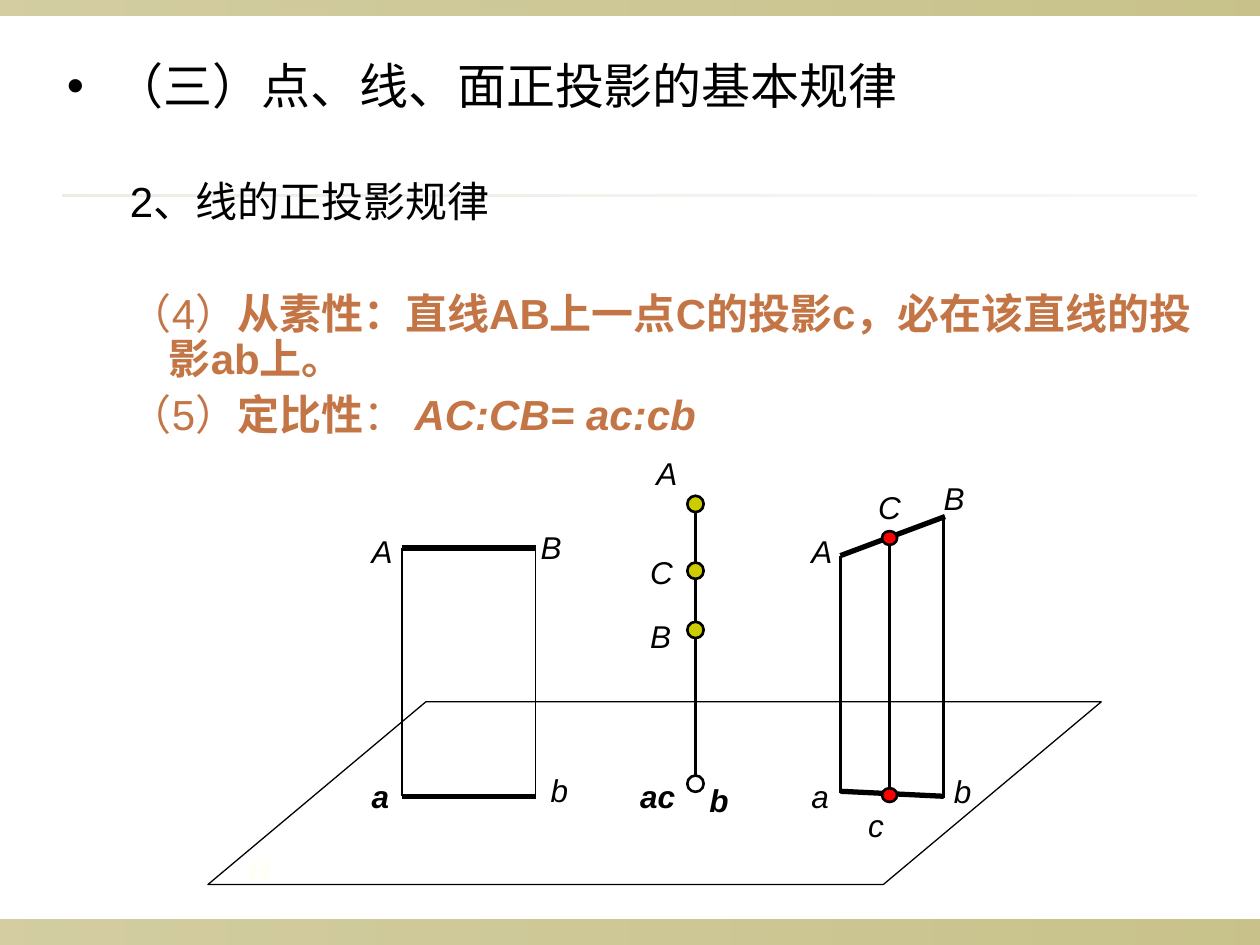
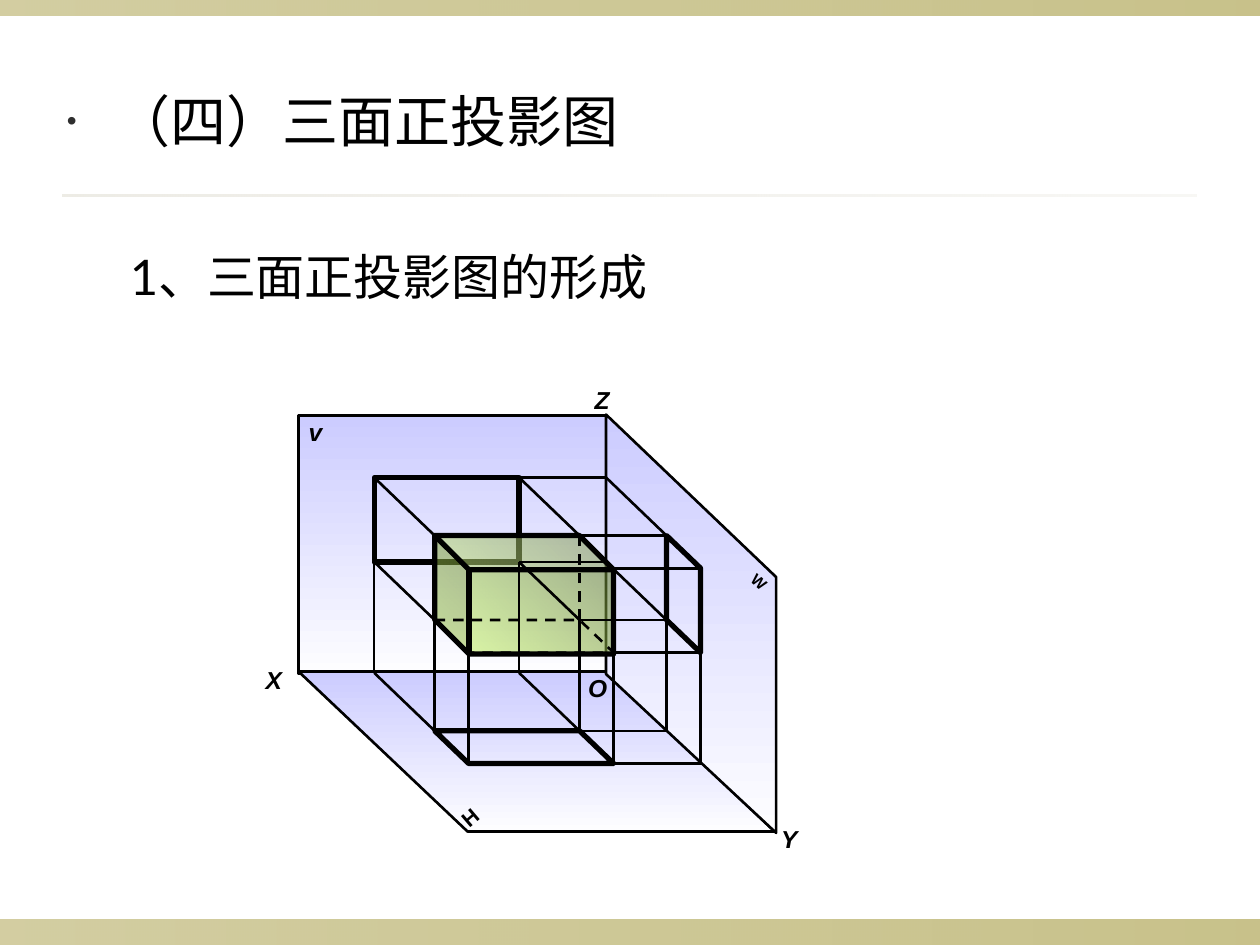
from itertools import product

from lxml import etree
from pptx import Presentation
from pptx.dml.color import RGBColor
from pptx.enum.dml import MSO_LINE
from pptx.enum.shapes import MSO_CONNECTOR, MSO_SHAPE
from pptx.enum.text import MSO_ANCHOR, MSO_AUTO_SIZE
from pptx.oxml.ns import qn
from pptx.util import Inches, Pt

STRAIGHT = MSO_CONNECTOR.STRAIGHT
RECTANGLE = MSO_SHAPE.RECTANGLE
PARALLELOGRAM = MSO_SHAPE.PARALLELOGRAM
OVAL = MSO_SHAPE.OVAL
CUBE = MSO_SHAPE.CUBE
DASH = MSO_LINE.DASH
MIDDLE = MSO_ANCHOR.MIDDLE
NO_AUTOFIT = MSO_AUTO_SIZE.NONE

BLACK = RGBColor(0x00, 0x00, 0x00)
WHITE = RGBColor(0xFF, 0xFF, 0xFF)
IVORY = RGBColor(0xFF, 0xFF, 0xF4)
CHARCOAL = RGBColor(0x2F, 0x2F, 0x2F)
OLIVE = RGBColor(0x91, 0x84, 0x15)
STONE = RGBColor(0xDC, 0xD9, 0xCC)
COPPER = RGBColor(0xC4, 0x75, 0x46)
RED = RGBColor(0xFF, 0x00, 0x00)
MUSTARD = RGBColor(0xCC, 0xCC, 0x00)
LILAC = RGBColor(0xCC, 0xCC, 0xFF)
PALE_LILAC = RGBColor(0xFD, 0xFD, 0xFF)
MOSS = RGBColor(0x5E, 0x76, 0x2F)
LIME = RGBColor(0xCC, 0xFF, 0x66)

THIN, NORMAL, THICK = 0.75, 1.5, 3
PLANE_FILL = (LILAC, PALE_LILAC, 90)

# Box in the three-plane drawing: extents on V, ground line, Z axis, depths
LEFT, RIGHT, AXIS = 2.97, 4.12, 4.81
TOP, BOTTOM, GROUND = 3.79, 4.46, 5.34
BACK, FRONT = 0.48, 0.75
DEPTH_SLOPE = 0.96


def add_xml(parent, tag, **attributes):
    return etree.SubElement(parent, qn(tag), attributes)


def fill_gradient(shape, start, end, angle, alphas=(100, 100)):
    shape.fill.gradient()
    shape.fill.gradient_angle = (360 - angle) % 360
    for stop, color in zip(shape.fill.gradient_stops, (start, end)):
        stop.color.rgb = color
    colors = shape.element.spPr.iter(qn("a:srgbClr"))
    for color, alpha in zip(list(colors), alphas):
        if alpha < 100:
            add_xml(color, "a:alpha", val=str(alpha * 1000))


def style(shape, fill=None, weight=NORMAL, dash=None):
    """Fill with a colour, a gradient tuple or nothing; outline in black."""
    shape.shadow.inherit = False
    if fill is None:
        shape.fill.background()
    elif isinstance(fill, RGBColor):
        shape.fill.solid()
        shape.fill.fore_color.rgb = fill
    else:
        fill_gradient(shape, *fill)
    if weight:
        shape.line.color.rgb = BLACK
        shape.line.width = Pt(weight)
    else:
        shape.line.fill.background()
    if dash:
        shape.line.dash_style = dash


def add_preset(slide, kind, box, fill=None, weight=NORMAL, adjust=None, flip=False):
    shape = slide.shapes.add_shape(kind, *map(Inches, box))
    if adjust is not None:
        shape.adjustments[0] = adjust
    if flip:
        shape.element.spPr.find(qn("a:xfrm")).set("flipH", "1")
    style(shape, fill, weight)


def add_polygon(slide, corners, fill=None, weight=NORMAL, dash=None):
    start, *rest = [(Inches(x), Inches(y)) for x, y in corners]
    builder = slide.shapes.build_freeform(*start)
    builder.add_line_segments(rest, close=True)
    style(builder.convert_to_shape(), fill, weight, dash)


def add_line(slide, start, end, weight=NORMAL, dash=None):
    line = slide.shapes.add_connector(STRAIGHT, *map(Inches, (*start, *end)))
    line.line.color.rgb = BLACK
    line.line.width = Pt(weight)
    if dash:
        line.line.dash_style = dash
    add_xml(line.element.spPr, "a:effectLst")


def add_dot(slide, center, fill, width=0.13, height=0.13):
    x, y = center
    add_preset(slide, OVAL, (x - width / 2, y - height / 2, width, height), fill)


def add_label(slide, text, box, size, bold=False, italic=True, color=BLACK,
              tight=False, rotation=0):
    label = slide.shapes.add_textbox(*map(Inches, box))
    label.rotation = rotation
    frame = label.text_frame
    frame.word_wrap = True
    if tight:
        frame.margin_left = frame.margin_right = frame.margin_top = 0
        frame.vertical_anchor = MIDDLE
    paragraph = frame.paragraphs[0]
    paragraph.text = text
    font = paragraph.font
    font.name, font.size = "Arial", Pt(size)
    font.bold, font.italic, font.color.rgb = bold, italic, color


def add_bands(slide):
    for box, color, alphas in (((0, 7.3, 10, 0.2), OLIVE, (40, 50)),
                               ((0, 0, 10, 0.12), OLIVE, (40, 50)),
                               ((0.5, 1.54, 9, 0.02), STONE, (50, 20))):
        add_preset(slide, RECTANGLE, box, (color, color, 0, alphas), weight=0)


def start_slide(presentation):
    """Add a slide with the shared bands and return it with its body."""
    slide = presentation.slides.add_slide(presentation.slide_layouts[1])
    title = slide.shapes.title.element
    title.getparent().remove(title)
    add_bands(slide)
    body = slide.placeholders[1]
    body.element.getparent().append(body.element)
    return slide, body


def place_body(body, box):
    body.left, body.top, body.width, body.height = map(Inches, box)
    body.text_frame.auto_size = NO_AUTOFIT


def add_paragraph(body, runs, size, font_name, level=1, before=0, spacing=1.0,
                  color=BLACK, bullet_color=None, bullet_percent=100):
    """Add a paragraph of (text, bold, italic) runs."""
    frame = body.text_frame
    paragraph = frame.paragraphs[0]
    if paragraph.runs:
        paragraph = frame.add_paragraph()
    paragraph.level = level
    margin, indent = ((0.38, -0.38), (0.81, -0.31))[level]
    properties = paragraph._p.get_or_add_pPr()
    properties.set("marL", str(Inches(margin)))
    properties.set("indent", str(Inches(indent)))
    if bullet_color is None:
        add_xml(properties, "a:buNone")
    else:
        add_xml(add_xml(properties, "a:buClr"), "a:srgbClr", val=str(bullet_color))
        add_xml(properties, "a:buSzPct", val=str(bullet_percent * 1000))
        add_xml(properties, "a:buChar", char="•")
    paragraph.space_before = Pt(before)
    paragraph.line_spacing = spacing
    font = paragraph.font
    font.name, font.size, font.color.rgb = font_name, Pt(size), color
    for text, bold, italic in runs:
        run = paragraph.add_run()
        run.text = text
        run.font.bold, run.font.italic = bold, italic


def plain(text):
    return [(text, False, False)]


def build_line_rules(presentation):
    slide, body = start_slide(presentation)

    # Projection plane H
    add_preset(slide, PARALLELOGRAM, (1.65, 5.57, 7.09, 1.45), WHITE, THIN, 1.193)
    add_label(slide, "H", (1.87, 6.7, 0.38, 0.4), 18, bold=True, color=IVORY)

    # Heading and rules
    place_body(body, (0.43, 0.44, 9.21, 3.35))
    add_paragraph(body, plain("（三）点、线、面正投影的基本规律"), 28, "Arial", level=0,
                  spacing=0.9, bullet_color=BLACK)
    add_paragraph(body, plain("2、线的正投影规律"), 24, "Arial", before=38, spacing=0.9)
    belonging = [("（4）", False, False),
                 ("从素性：直线AB上一点C的投影c，必在该直线的投影ab上。", True, False)]
    ratio = [("（5）", False, False), ("定比性", True, False),
             ("： ", False, False), ("AC:CB= ac:cb", True, True)]
    for runs, before in ((belonging, 38), (ratio, 6)):
        add_paragraph(body, runs, 24, "Arial", before=before, spacing=0.9, color=COPPER)

    # Line parallel to the plane
    for y in (4.35, 6.32):
        add_line(slide, (3.19, y), (4.25, y), THICK)
    for x in (3.19, 4.25):
        add_line(slide, (x, 4.35), (x, 6.32), THIN)

    # Line perpendicular to the plane
    add_line(slide, (5.52, 4), (5.52, 6.24))
    add_dot(slide, (5.52, 6.22), WHITE)
    for y in (4.0, 4.53, 5.0):
        add_dot(slide, (5.52, y), MUSTARD)

    # Inclined line
    add_line(slide, (6.67, 4.41), (7.5, 4.1), THICK)
    add_line(slide, (6.67, 6.28), (7.49, 6.32), THICK)
    for x, top, bottom in ((6.67, 4.41, 6.29), (7.49, 4.11, 6.33), (7.06, 4.27, 6.29)):
        add_line(slide, (x, top), (x, bottom))
    for y in (4.27, 6.31):
        add_dot(slide, (7.06, y), RED, 0.12, 0.11)

    # Point names
    point_names = (
        ("A", 2.95, 4.22), ("B", 4.29, 4.19), ("b", 4.37, 6.12),
        ("A", 5.21, 3.6), ("C", 5.16, 4.39), ("B", 5.16, 4.9),
        ("A", 6.44, 4.22), ("C", 6.97, 3.87), ("B", 7.49, 3.8),
        ("a", 6.44, 6.17), ("c", 6.89, 6.4), ("b", 7.57, 6.13))
    bold_names = (("a", 2.95, 6.17), ("ac", 5.08, 6.17), ("b", 5.63, 6.2))
    for names, bold in ((point_names, False), (bold_names, True)):
        for name, x, y in names:
            add_label(slide, name, (x, y, 0.15 * len(name) + 0.02, 0.35), 18,
                      bold=bold, tight=True)


def point(x, y, depth=0):
    """Shift a point of plane V towards the viewer."""
    return x + depth, y + depth * DEPTH_SLOPE


def build_three_planes(presentation):
    slide, body = start_slide(presentation)

    # Headings
    place_body(body, (0.43, 0.64, 9, 1.97))
    add_paragraph(body, plain("（四）三面正投影图"), 32, "Lato", level=0,
                  bullet_color=CHARCOAL, bullet_percent=50)
    add_paragraph(body, plain("1、三面正投影图的形成"), 28, "Lato", before=53)

    # Planes V, H and W
    add_preset(slide, RECTANGLE, (2.37, 3.3, 2.44, 2.05), PLANE_FILL)
    add_preset(slide, PARALLELOGRAM, (2.37, 5.33, 3.78, 1.27), PLANE_FILL,
               adjust=1.056, flip=True)
    add_polygon(slide, [(AXIS, 3.29), (6.16, 4.58), (6.16, 6.61), (AXIS, 5.35)],
                PLANE_FILL)

    # Plane and axis names
    add_label(slide, "v", (2.35, 3.26, 0.31, 0.34), 14, bold=True)
    add_label(slide, "H", (3.57, 6.34, 0.31, 0.3), 12, True, False, rotation=319.5)
    add_label(slide, "W", (5.86, 4.52, 0.39, 0.25), 9, True, False, rotation=41.3)
    for name, x, y in (("X", 2.01, 5.23), ("Z", 4.62, 3.01),
                       ("Y", 6.1, 6.49), ("O", 4.57, 5.29)):
        add_label(slide, name, (x, y, 0.39, 0.34), 14, bold=True)

    # Views on H, V and W
    footprint = ((LEFT, BACK), (RIGHT, BACK), (RIGHT, FRONT), (LEFT, FRONT))
    profile = ((TOP, BACK), (TOP, FRONT), (BOTTOM, FRONT), (BOTTOM, BACK))
    add_polygon(slide, [point(x, GROUND, d) for x, d in footprint], weight=THICK)
    add_preset(slide, RECTANGLE, (LEFT, TOP, RIGHT - LEFT, BOTTOM - TOP), weight=THICK)
    add_polygon(slide, [point(AXIS, y, d) for y, d in profile], weight=THICK)

    # Box with its hidden edges
    add_preset(slide, CUBE, (3.45, 4.25, 1.42, 0.94), (MOSS, LIME, 45, (57, 56)),
               THICK, 0.289, flip=True)
    add_polygon(slide, [point(x, BOTTOM, d) for x, d in footprint], dash=DASH)
    add_line(slide, point(RIGHT, BOTTOM, BACK), point(RIGHT, TOP, BACK), dash=DASH)

    # Projection lines from the box to H, W and V
    rays = [((x, BOTTOM, d), (x, GROUND, d)) for x, d in footprint]
    rays += [((RIGHT, y, d), (AXIS, y, d)) for y, d in profile]
    rays += [((x, y, BACK), (x, y, 0)) for x, y in product((LEFT, RIGHT), (TOP, BOTTOM))]

    # Lines that link the three views
    for x in (LEFT, RIGHT):
        rays += [((x, BOTTOM, 0), (x, GROUND, 0)), ((x, GROUND, 0), (x, GROUND, BACK))]
    for y in (TOP, BOTTOM):
        rays += [((RIGHT, y, 0), (AXIS, y, 0)), ((AXIS, y, 0), (AXIS, y, BACK))]
    for d in (BACK, FRONT):
        rays += [((RIGHT, GROUND, d), (AXIS, GROUND, d)),
                 ((AXIS, BOTTOM, d), (AXIS, GROUND, d))]
    for start, end in rays:
        add_line(slide, point(*start), point(*end))


def main():
    presentation = Presentation()
    presentation.slide_width, presentation.slide_height = Inches(10), Inches(7.5)
    build_line_rules(presentation)
    build_three_planes(presentation)
    presentation.save("out.pptx")


if __name__ == "__main__":
    main()
